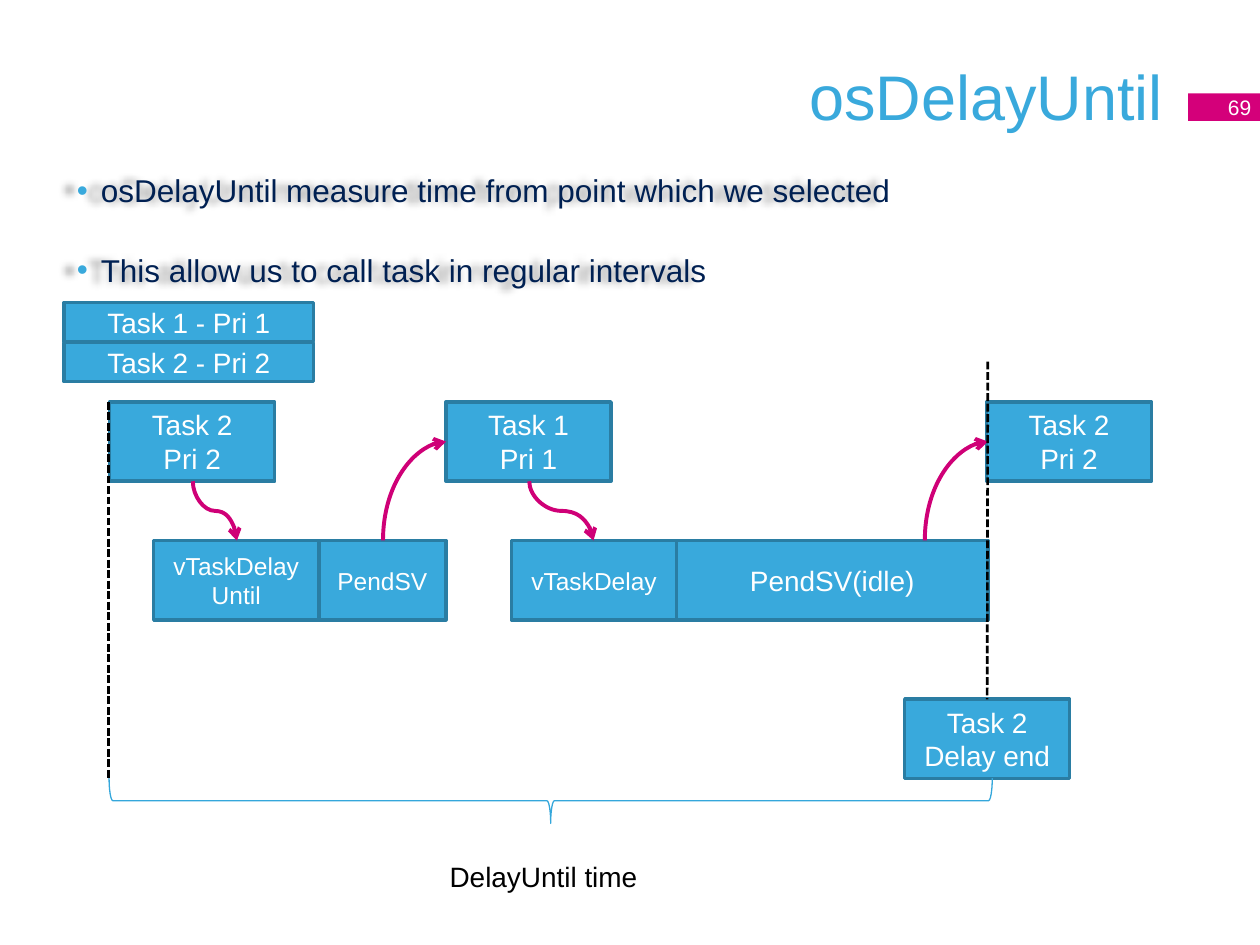
from lxml import etree
from pptx import Presentation
from pptx.dml.color import RGBColor
from pptx.enum.dml import MSO_LINE
from pptx.enum.shapes import MSO_CONNECTOR, MSO_SHAPE
from pptx.enum.text import MSO_ANCHOR, MSO_AUTO_SIZE, PP_ALIGN
from pptx.oxml import parse_xml
from pptx.oxml.ns import qn
from pptx.util import Inches, Pt

STRAIGHT, CURVE = MSO_CONNECTOR.STRAIGHT, MSO_CONNECTOR.CURVE
RECT, BRACE = MSO_SHAPE.RECTANGLE, MSO_SHAPE.RIGHT_BRACE
LEFT, CENTER, RIGHT = PP_ALIGN.LEFT, PP_ALIGN.CENTER, PP_ALIGN.RIGHT
TOP, MIDDLE = MSO_ANCHOR.TOP, MSO_ANCHOR.MIDDLE
DASH, NO_FIT = MSO_LINE.SQUARE_DOT, MSO_AUTO_SIZE.NONE

NS = 'xmlns:a="http://schemas.openxmlformats.org/drawingml/2006/main"'
SHADOW = (f'<a:effectLst {NS}><a:outerShdw blurRad="50800" dist="101600" '
          'dir="10800000"><a:srgbClr val="000000"><a:alpha val="40000"/>'
          '</a:srgbClr></a:outerShdw></a:effectLst>')
BLUE, EDGE, PINK = "39A9DC", "2A7DA3", "CF0077"
WIDE, HIGH = 1.31, 0.63  # usual box size
ROW1, ROW2, ROW3 = 3.19, 4.29, 5.55  # tops of the box rows


def color(code):
    return RGBColor.from_string(code)


def place(shape, left, top, width, height):
    shape.left, shape.top = Inches(left), Inches(top)
    shape.width, shape.height = Inches(width), Inches(height)


def write(shape, text, size, tint, align=CENTER, anchor=MIDDLE, wrap=True):
    frame = shape.text_frame
    frame.text = text
    frame.word_wrap = wrap
    frame.auto_size = NO_FIT
    frame.vertical_anchor = anchor
    for para in frame.paragraphs:
        para.alignment = align
        for run in para.runs:
            run.font.name = "Arial"
            run.font.size = Pt(size)
            run.font.color.rgb = color(tint)


def stroke(line, tint, width):
    line.color.rgb = color(tint)
    line.width = Pt(width)


def add_box(slide, text, left, top, width=WIDE, height=HIGH, size=16):
    box = slide.shapes.add_shape(RECT, Inches(left), Inches(top),
                                 Inches(width), Inches(height))
    box.shadow.inherit = False
    box.fill.solid()
    box.fill.fore_color.rgb = color(BLUE)
    stroke(box.line, EDGE, 2)
    write(box, text, size, "FFFFFF")
    return box


def add_line(slide, kind, start, end, tint, width):
    line = slide.shapes.add_connector(kind, *map(Inches, start + end))
    etree.SubElement(line._element.spPr, qn("a:effectLst"))
    stroke(line.line, tint, width)
    return line


def add_dash(slide, x, top, bottom):
    line = add_line(slide, STRAIGHT, (x, top), (x, bottom), "000000", 1.5)
    line.line.dash_style = DASH
    return line


def add_curve(slide, start, end):
    """Arrow that leaves upright: an S going down, an arc going up."""
    (x1, y1), (x2, y2) = start, end
    midx, midy = (x1 + x2) / 2, (y1 + y2) / 2
    # The frame is turned a quarter, so width and height change places
    dx, dy = abs(y2 - y1) / 2, (x2 - x1) / 2
    down = y2 > y1
    if not down:
        dy = -dy
    line = add_line(slide, CURVE, (midx + dx, midy - dy),
                    (midx - dx, midy + dy), PINK, 2.25)
    props = line._element.spPr
    props.find(qn("a:xfrm")).set("rot", "16200000" if down else "5400000")
    props.find(qn("a:prstGeom")).set(
        "prst", "curvedConnector3" if down else "curvedConnector2")
    etree.SubElement(props.find(qn("a:ln")), qn("a:tailEnd"), type="arrow")


def add_list(body, items):
    place(body, 0.51, 1.31, 9, 1.04)
    write(body, "\n".join(items), 18, "002052", LEFT, TOP)
    body._element.spPr.append(parse_xml(SHADOW))
    for i, para in enumerate(body.text_frame.paragraphs):
        props = para._p.get_or_add_pPr()
        props.set("marL", str(Inches(0.19)))
        props.set("indent", str(Inches(-0.19)))
        tint = etree.SubElement(props, qn("a:buClr"))
        etree.SubElement(tint, qn("a:srgbClr"), val=BLUE)
        etree.SubElement(props, qn("a:buFont"), typeface="Arial")
        etree.SubElement(props, qn("a:buChar"), char="•")
        para.space_before = Pt(18 if i else 0)
        para.space_after = Pt(6)


def add_span(slide):
    brace = slide.shapes.add_shape(BRACE, Inches(4.19), Inches(2.85),
                                   Inches(0.36), Inches(7.01))
    brace.rotation = 90
    brace.shadow.inherit = False
    brace.fill.background()
    stroke(brace.line, "34A7DB", 0.75)
    label = slide.shapes.add_textbox(Inches(3.47), Inches(6.77),
                                     Inches(1.71), Inches(0.37))
    write(label, "DelayUntil time", 16, "000000", LEFT, TOP, False)


def add_number(slide):
    tag = slide.shapes.add_shape(RECT, Inches(9.43), Inches(0.74),
                                 Inches(0.6), Inches(0.22))
    tag.shadow.inherit = False
    tag.fill.solid()
    tag.fill.fore_color.rgb = color("D4007A")
    tag.line.fill.background()
    write(tag, "69", 12, "FFFFFF", RIGHT, wrap=False)


def main():
    deck = Presentation()
    deck.slide_width, deck.slide_height = Inches(10), Inches(7.5)
    slide = deck.slides.add_slide(deck.slide_layouts[1])

    # Title and bullets
    title, body = slide.placeholders
    place(title, 0.5, 0.13, 8.83, 1.25)
    write(title, "osDelayUntil", 36, BLUE, RIGHT)
    add_list(body, ["osDelayUntil measure time from point which we selected",
                    "This allow us to call task in regular intervals"])

    # Task priorities
    for i in (1, 2):
        add_box(slide, f"Task {i} - Pri {i}", 0.51, 2.4 + (i - 1) * 0.32,
                1.98, 0.31)

    # Running tasks
    for task, left in ((2, 0.87), (1, 3.54), (2, 7.83)):
        add_box(slide, f"Task {task}\nPri {task}", left, ROW1)

    # Kernel calls
    add_box(slide, "PendSV", 2.53, ROW2, 1.01, size=14)
    add_box(slide, "vTaskDelayUntil", 1.22, ROW2, size=14)
    add_box(slide, "PendSV(idle)", 5.37, ROW2, 2.47)
    add_box(slide, "vTaskDelay", 4.06, ROW2, size=14)
    stop = add_box(slide, "Task 2\nDelay end", 7.18, ROW3)

    # Switches between tasks and kernel
    for x1, x2 in ((1.53, 1.88), (4.2, 4.71)):
        add_curve(slide, (x1, ROW1 + HIGH), (x2, ROW2))
    for x1, x2 in ((3.04, 3.54), (7.34, 7.84)):
        add_curve(slide, (x1, ROW2), (x2, ROW1 + HIGH / 2))

    # Delay limits and span
    add_dash(slide, 7.84, 2.87, ROW3).end_connect(stop, 0)
    add_dash(slide, 0.86, ROW1, ROW3 + HIGH)
    add_span(slide)
    add_number(slide)

    deck.save("out.pptx")


if __name__ == "__main__":
    main()
